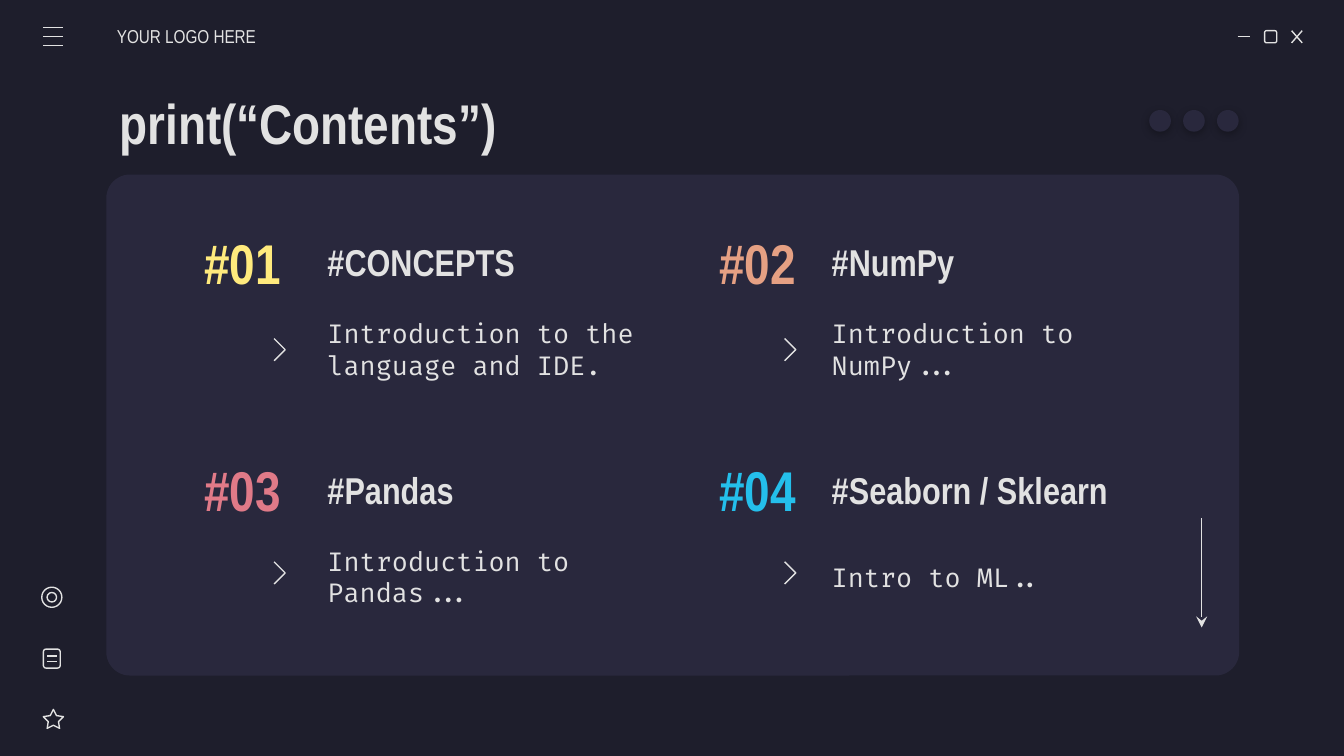
from dataclasses import dataclass
from itertools import product

from lxml.etree import SubElement
from pptx import Presentation
from pptx.dml.color import RGBColor
from pptx.enum.shapes import MSO_CONNECTOR, MSO_SHAPE as Preset
from pptx.enum.text import MSO_ANCHOR, MSO_AUTO_SIZE, PP_ALIGN as Align
from pptx.oxml import parse_xml
from pptx.oxml.ns import nsdecls, qn
from pptx.util import Cm, Pt

NIGHT = RGBColor(0x1E, 0x1E, 0x2C)
PANEL = RGBColor(0x29, 0x28, 0x3D)
LIGHT = RGBColor(0xE2, 0xE2, 0xE2)
YELLOW = RGBColor(0xFF, 0xEA, 0x7D)
ORANGE = RGBColor(0xE5, 0xA0, 0x83)
PINK = RGBColor(0xE0, 0x7A, 0x88)
BLUE = RGBColor(0x24, 0xBF, 0xEB)
SANS, MONO = "Arial Narrow", "Fira Code"
STROKE = Pt(0.75)


@dataclass(frozen=True)
class Column:
    number_x: float
    chevron_x: float
    text_x: float


@dataclass(frozen=True)
class Row:
    heading_y: float
    chevron_y: float


@dataclass(frozen=True)
class Topic:
    number: str
    heading: str
    summary: str
    color: RGBColor


@dataclass(frozen=True)
class TextStyle:
    size: float
    font: str = SANS
    color: RGBColor = LIGHT
    bold: bool = False
    align: Align = Align.LEFT
    inset_left: float = 0.25


COLUMNS = [Column(3.43, 5.18, 5.94), Column(13.16, 14.83, 15.47)]
ROWS = [Row(4.24, 6.4), Row(8.54, 10.62)]
TOPICS = [
    Topic("#01", "#CONCEPTS", "Introduction to the language and IDE.", YELLOW),
    Topic("#02", "#NumPy", "Introduction to NumPy...", ORANGE),
    Topic("#03", "#Pandas", "Introduction to Pandas...", PINK),
    Topic("#04", "#Seaborn / Sklearn", "Intro to ML..", BLUE),
]


def write(box, text: str, style: TextStyle) -> None:
    frame = box.text_frame
    frame.word_wrap = True
    frame.auto_size = MSO_AUTO_SIZE.NONE
    frame.vertical_anchor = MSO_ANCHOR.MIDDLE
    frame.margin_left = Cm(style.inset_left)
    frame.margin_top = frame.margin_right = frame.margin_bottom = Cm(0.25)
    paragraph = frame.paragraphs[0]
    paragraph.alignment = style.align
    run = paragraph.add_run()
    run.text = text
    run.font.size = Pt(style.size)
    run.font.name = style.font
    run.font.bold = style.bold
    run.font.color.rgb = style.color


def add_text(shapes, x: float, y: float, w: float, h: float,
             text: str, style: TextStyle) -> None:
    write(shapes.add_textbox(Cm(x), Cm(y), Cm(w), Cm(h)), text, style)


def outline(shape) -> None:
    shape.shadow.inherit = False
    shape.fill.background()
    shape.line.color.rgb = LIGHT
    shape.line.width = STROKE


def add_icon(shapes, preset: Preset, x: float, y: float, w: float, h: float):
    icon = shapes.add_shape(preset, Cm(x), Cm(y), Cm(w), Cm(h))
    outline(icon)
    return icon


def add_filled(shapes, preset: Preset, x: float, y: float, w: float, h: float):
    shape = shapes.add_shape(preset, Cm(x), Cm(y), Cm(w), Cm(h))
    shape.shadow.inherit = False
    shape.fill.solid()
    shape.fill.fore_color.rgb = PANEL
    shape.line.fill.background()
    return shape


def add_line(shapes, x1: float, y1: float, x2: float, y2: float):
    line = shapes.add_connector(MSO_CONNECTOR.STRAIGHT, Cm(x1), Cm(y1), Cm(x2), Cm(y2))
    line.line.color.rgb = LIGHT
    line.line.width = STROKE
    SubElement(line._element.spPr, qn("a:effectLst"))
    return line


def add_chevron(shapes, x: float, y: float) -> None:
    builder = shapes.build_freeform(Cm(x), Cm(y))
    builder.add_line_segments(
        [(Cm(x + 0.21), Cm(y + 0.21)), (Cm(x), Cm(y + 0.42))], close=False)
    outline(builder.convert_to_shape())


def add_soft_shadow(shape) -> None:
    effects = shape._element.spPr.find(qn("a:effectLst"))
    effects.append(parse_xml(
        f'<a:outerShdw {nsdecls("a")} blurRad="{Pt(4.5)}" dist="{Pt(1.5)}" '
        'dir="5400000" algn="bl" rotWithShape="0"><a:srgbClr val="000000">'
        '<a:alpha val="30000"/></a:srgbClr></a:outerShdw>'))


def add_topic(shapes, topic: Topic, row: Row, column: Column) -> None:
    add_text(shapes, column.text_x, row.heading_y, 6.5, 1.42,
             topic.heading, TextStyle(20, bold=True))
    add_text(shapes, column.number_x, row.heading_y, 2.31, 1.42, topic.number,
             TextStyle(30, color=topic.color, bold=True, align=Align.CENTER))
    add_text(shapes, column.text_x, row.heading_y + 1.41, 6.5, 1.9,
             topic.summary, TextStyle(14, MONO))
    add_chevron(shapes, column.chevron_x, row.chevron_y)


def main() -> None:
    deck = Presentation()
    deck.slide_width, deck.slide_height = Cm(25.4), Cm(14.29)
    slide = deck.slides.add_slide(deck.slide_layouts[5])
    slide.background.fill.solid()
    slide.background.fill.fore_color.rgb = NIGHT
    shapes = slide.shapes

    # Title and header
    title = shapes.title
    title.left, title.top, title.width, title.height = Cm(2.01), Cm(1.5), Cm(21.41), Cm(1.6)
    write(title, "print(“Contents”)", TextStyle(30, bold=True))
    add_text(shapes, 2.21, 0.3, 2.97, 0.76, "YOUR LOGO HERE",
             TextStyle(10, inset_left=0))

    # Panel with the four topics
    panel = add_filled(shapes, Preset.ROUNDED_RECTANGLE, 2.01, 3.3, 21.41, 9.47)
    panel.adjustments[0] = 0.047
    for topic, (row, column) in zip(TOPICS, product(ROWS, COLUMNS)):
        add_topic(shapes, topic, row, column)

    # Scroll arrow
    arrow = add_line(shapes, 22.71, 9.8, 22.71, 11.86)
    SubElement(arrow.line._get_or_add_ln(), qn("a:tailEnd"), type="stealth")

    # Window buttons: minimise, maximise, close
    add_line(shapes, 23.39, 0.69, 23.62, 0.69)
    add_icon(shapes, Preset.ROUNDED_RECTANGLE, 23.9, 0.58, 0.23, 0.23)
    add_line(shapes, 24.41, 0.58, 24.61, 0.81)
    add_line(shapes, 24.61, 0.58, 24.41, 0.81)

    # Menu icon
    for y in (0.52, 0.69, 0.86):
        add_line(shapes, 0.82, y, 1.2, y)

    # Sidebar icons: target, document, star
    add_icon(shapes, Preset.OVAL, 0.79, 11.1, 0.38, 0.38)
    add_icon(shapes, Preset.OVAL, 0.89, 11.2, 0.18, 0.18)
    add_icon(shapes, Preset.ROUNDED_RECTANGLE, 0.82, 12.27, 0.32, 0.36)
    for y in (12.4, 12.5):
        add_line(shapes, 0.89, y, 1.07, y)
    star = add_icon(shapes, Preset.STAR_5_POINT, 0.82, 13.41, 0.38, 0.36)
    star.adjustments[0] = 0.254

    # Three dots above the panel
    for index in range(3):
        dot = add_filled(shapes, Preset.OVAL, 21.72 + 0.64 * index, 2.08, 0.41, 0.41)
        add_soft_shadow(dot)

    deck.save("out.pptx")


if __name__ == "__main__":
    main()
